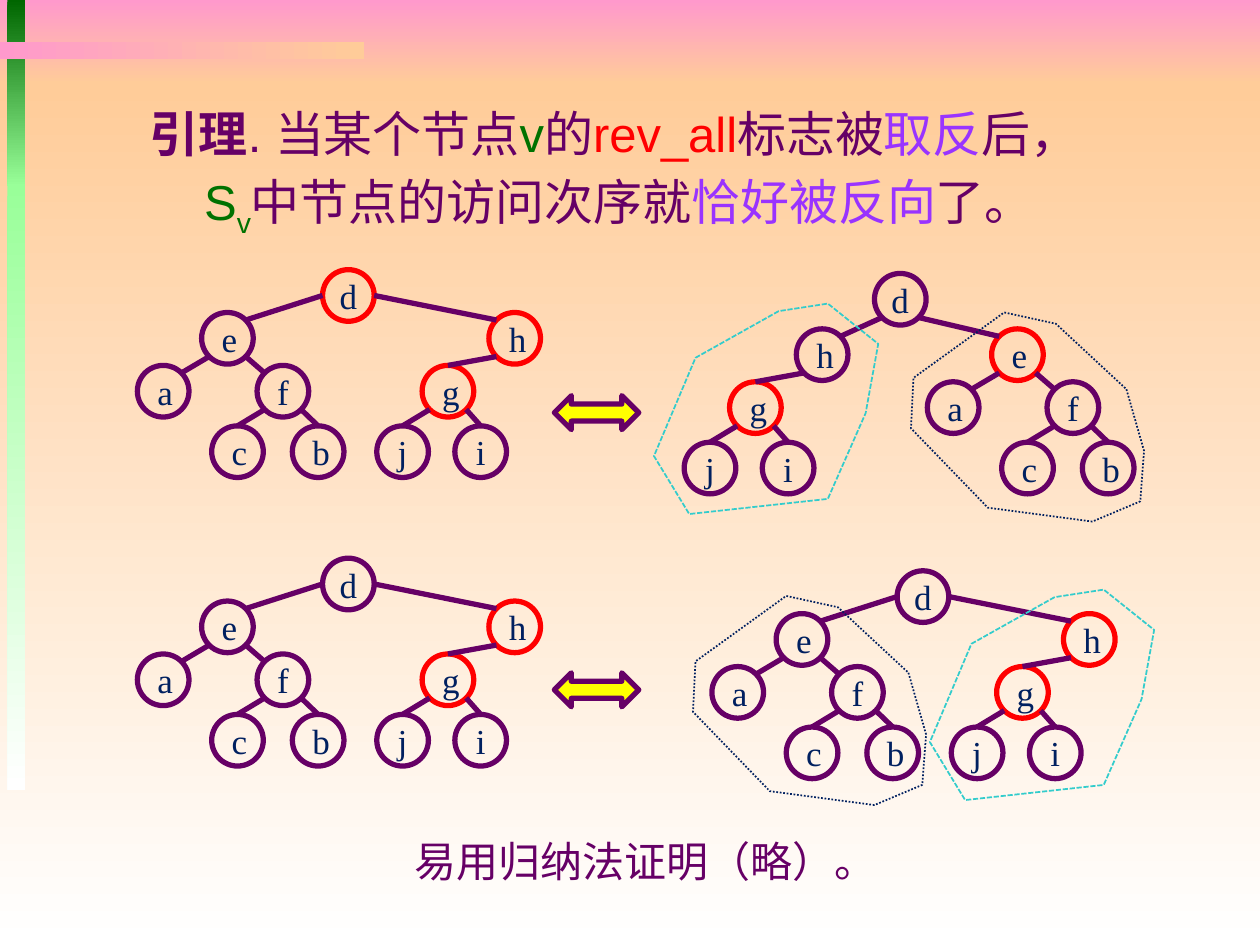
from dataclasses import dataclass
from typing import Any

import pptx
import pptx.dml.color
import pptx.enum.dml
import pptx.enum.shapes
import pptx.enum.text
import pptx.oxml.ns
import pptx.util
from lxml import etree
from pptx.util import Inches

Shape = pptx.enum.shapes.MSO_SHAPE
Dash = pptx.enum.dml.MSO_LINE
Text = pptx.enum.text


@dataclass(frozen=True)
class Theme:
    plum: str = "660066"
    red: str = "FF0000"
    green: str = "007200"
    violet: str = "9933FF"
    navy: str = "002060"
    teal: str = "33CCCC"
    yellow: str = "FFFF00"
    pink: str = "FF99CC"
    peach: str = "FFCC99"
    white: str = "FFFFFF"
    forest: str = "006600"
    mint: str = "99FF99"
    sans: str = "Arial"
    serif: str = "Times New Roman"
    lemma: int = 28
    note: int = 24
    node: int = 20
    thick: int = 3
    thin: int = 1


THEME = Theme()


@dataclass(frozen=True)
class Band:
    box: tuple
    start: str
    end: str
    angle: int = 270


@dataclass(frozen=True)
class Tree:
    root: tuple
    left: tuple  # node e
    right: tuple  # node h
    reds: str
    port: str  # where the edges leave the root
    rings: tuple = ()  # corners of the e ring and the h ring


@dataclass(frozen=True)
class Ring:
    points: tuple
    color: str
    dash: Any


SIZE, DIAG = 0.41, 0.145
BANDS = [
    Band((0, 0, 10, 0.67), THEME.pink, THEME.peach),
    Band((0, 0.67, 10, 6.83), THEME.peach, THEME.white),
    Band((0.06, 0, 0.14, 1.48), THEME.forest, THEME.mint),
    Band((0.06, 1.46, 0.14, 4.81), THEME.mint, THEME.white),
    Band((0, 0.33, 2.89, 0.14), THEME.pink, THEME.peach, 0),
]
# Offsets of each child from the top node of its subtree.
E_PART = {"e": (0, 0), "a": (-0.51, 0.42), "f": (0.44, 0.42), "c": (0.08, 0.9), "b": (0.72, 0.9)}
H_PART = {"h": (0, 0), "g": (-0.53, 0.42), "j": (-0.89, 0.9), "i": (-0.27, 0.9)}
# Parent, child, and the port where the edge meets the child.
EDGES = [("d", "e", "diag"), ("d", "h", "diag"), ("e", "a", "diag"), ("e", "f", "diag"),
         ("h", "g", "top"), ("f", "c", "top"), ("f", "b", "top"), ("g", "j", "top"),
         ("g", "i", "top")]
RINGS = [
    Ring(((1.71, 0.61), (1.85, 1.1), (1.82, 1.5), (1.44, 1.66), (0.61, 1.55), (0, 0.92),
          (0.02, 0.52), (0.74, 0), (1.15, 0.09)), THEME.navy, Dash.ROUND_DOT),
    Ring(((0.99, 0.06), (0.33, 0.43), (0, 1.21), (0.28, 1.67), (1.38, 1.55), (1.68, 0.87),
          (1.78, 0.32), (1.38, 0)), THEME.teal, Dash.SQUARE_DOT),
]
TREES = [
    Tree((2.56, 2.14), (1.6, 2.48), (3.88, 2.48), "dhg", "side"),
    Tree((2.56, 4.43), (1.6, 4.77), (3.88, 4.77), "hg", "side"),
    Tree((7.12, 4.53), (6.16, 4.87), (8.44, 4.87), "hg", "side", ((5.5, 4.73), (7.38, 4.68))),
    Tree((6.94, 2.17), (7.87, 2.61), (6.32, 2.61), "eg", "diag", ((7.23, 2.48), (5.19, 2.41))),
]
LEMMA = [
    (0, [("引理", THEME.plum, {"bold": True}), (". 当某个节点", THEME.plum, {}),
         ("v", THEME.green, {}), ("的", THEME.plum, {}), ("rev_all", THEME.red, {}),
         ("标志被", THEME.plum, {}), ("取反", THEME.violet, {}), ("后，", THEME.plum, {})]),
    (0.43, [("S", THEME.green, {}), ("v", THEME.green, {"sub": True}),
            ("中节点的访问次序就", THEME.plum, {}), ("恰好被反向", THEME.violet, {}),
            ("了。", THEME.plum, {})]),
]


def rgb(code: str) -> pptx.dml.color.RGBColor:
    return pptx.dml.color.RGBColor.from_string(code)


def apply(item: Any, values: dict) -> None:
    for name, value in values.items():
        setattr(item, name, value)


def stroke(shape: Any, color: str, width: int, **extra: Any) -> None:
    shape.line.color.rgb = rgb(color)
    apply(shape.line, {"width": pptx.util.Pt(width), **extra})


def write(para: Any, text: str, face: str, size: int, color: str, bold: bool = False,
          sub: bool = False) -> None:
    run = para.add_run()
    run.text = text
    apply(run.font, {"name": face, "size": pptx.util.Pt(size), "bold": bold})
    run.font.color.rgb = rgb(color)
    if sub:
        run.font._element.set("baseline", "-25000")


def add_shape(shapes: Any, kind: Any, box: tuple) -> Any:
    shape = shapes.add_shape(kind, *map(Inches, box))
    shape.shadow.inherit = False
    return shape


def add_band(shapes: Any, band: Band) -> None:
    shape = add_shape(shapes, Shape.RECTANGLE, band.box)
    shape.line.fill.background()
    shape.fill.gradient()
    shape.fill.gradient_angle = band.angle
    for stop, color, place in zip(shape.fill.gradient_stops, (band.start, band.end), (0, 1)):
        stop.color.rgb = rgb(color)
        stop.position = place


def add_node(shapes: Any, name: str, spot: tuple, color: str) -> None:
    shape = add_shape(shapes, Shape.OVAL, (*spot, SIZE, SIZE))
    shape.fill.background()
    stroke(shape, color, THEME.thick)
    apply(shape.text_frame, {"word_wrap": name != "d", "vertical_anchor": Text.MSO_ANCHOR.MIDDLE})
    para = shape.text_frame.paragraphs[0]
    para.alignment = Text.PP_ALIGN.CENTER
    write(para, name, THEME.serif, THEME.node, THEME.navy)


def port(spot: tuple, kind: str, way: int, drop: int) -> tuple:
    """Point on a node's rim; way is -1 for left, drop is -1 for up."""
    half = SIZE / 2
    shift = {"side": (way * half, 0), "diag": (way * DIAG, drop * DIAG), "top": (0, -half)}[kind]
    return tuple(Inches(at + half + move) for at, move in zip(spot, shift))


def add_edge(shapes: Any, start: tuple, end: tuple) -> None:
    line = shapes.add_connector(pptx.enum.shapes.MSO_CONNECTOR.STRAIGHT, *start, *end)
    stroke(line, THEME.plum, THEME.thick)
    etree.SubElement(line.element.spPr, pptx.oxml.ns.qn("a:effectLst"))


def add_ring(shapes: Any, ring: Ring, spot: tuple) -> None:
    first, *rest = [(Inches(spot[0] + x), Inches(spot[1] + y)) for x, y in ring.points]
    pen = shapes.build_freeform(*first)
    pen.add_line_segments(rest, close=True)
    shape = pen.convert_to_shape()
    shape.shadow.inherit = False
    shape.fill.background()
    stroke(shape, ring.color, THEME.thin, dash_style=ring.dash)


def add_tree(slide: Any, tree: Tree) -> None:
    shapes = slide.shapes.add_group_shape().shapes
    spots = {"d": tree.root}
    for top, part in ((tree.left, E_PART), (tree.right, H_PART)):
        spots.update({name: (top[0] + x, top[1] + y) for name, (x, y) in part.items()})
    for name, spot in spots.items():
        add_node(shapes, name, spot, THEME.red if name in tree.reds else THEME.plum)
    for head, child, kind in EDGES:
        way = 1 if spots[child][0] > spots[head][0] else -1
        leave = tree.port if head == "d" else "diag"
        add_edge(shapes, port(spots[head], leave, way, 1), port(spots[child], kind, -way, -1))
    for ring, spot in zip(RINGS, tree.rings):
        add_ring(shapes, ring, spot)


def add_lemma(slide: Any) -> None:
    slide.shapes.title.element.getparent().remove(slide.shapes.title.element)
    body = slide.placeholders[1]
    body.element.getparent().append(body.element)  # in front of the bands
    apply(body, dict(zip(("left", "top", "width", "height"), map(Inches, (1.09, 0.77, 8.18, 1.29)))))
    frame = body.text_frame
    apply(frame, {"word_wrap": True, "auto_size": Text.MSO_AUTO_SIZE.NONE})
    for row, (indent, runs) in enumerate(LEMMA):
        para = frame.add_paragraph() if row else frame.paragraphs[0]
        props = para._p.get_or_add_pPr()
        props.set("marL", "0")
        props.set("indent", str(Inches(indent)))
        etree.SubElement(props, pptx.oxml.ns.qn("a:buNone"))
        for text, color, style in runs:
            write(para, text, THEME.sans, THEME.lemma, color, **style)


def main() -> None:
    deck = pptx.Presentation()
    apply(deck, {"slide_width": Inches(10), "slide_height": Inches(7.5)})
    slide = deck.slides.add_slide(deck.slide_layouts[1])
    for band in BANDS:
        add_band(slide.shapes, band)
    add_lemma(slide)
    for tree in TREES:
        add_tree(slide, tree)
    for top in (3.14, 5.34):
        arrow = add_shape(slide.shapes, Shape.LEFT_RIGHT_ARROW, (4.4, top, 0.67, 0.27))
        arrow.fill.solid()
        arrow.fill.fore_color.rgb = rgb(THEME.yellow)
        stroke(arrow, THEME.plum, THEME.thick)
    note = slide.shapes.add_textbox(*map(Inches, (3.19, 6.58, 3.9, 0.5))).text_frame
    apply(note, {"word_wrap": False, "auto_size": Text.MSO_AUTO_SIZE.SHAPE_TO_FIT_TEXT})
    write(note.paragraphs[0], "易用归纳法证明（略）。", THEME.sans, THEME.note, THEME.plum)
    deck.save("out.pptx")


if __name__ == "__main__":
    main()
